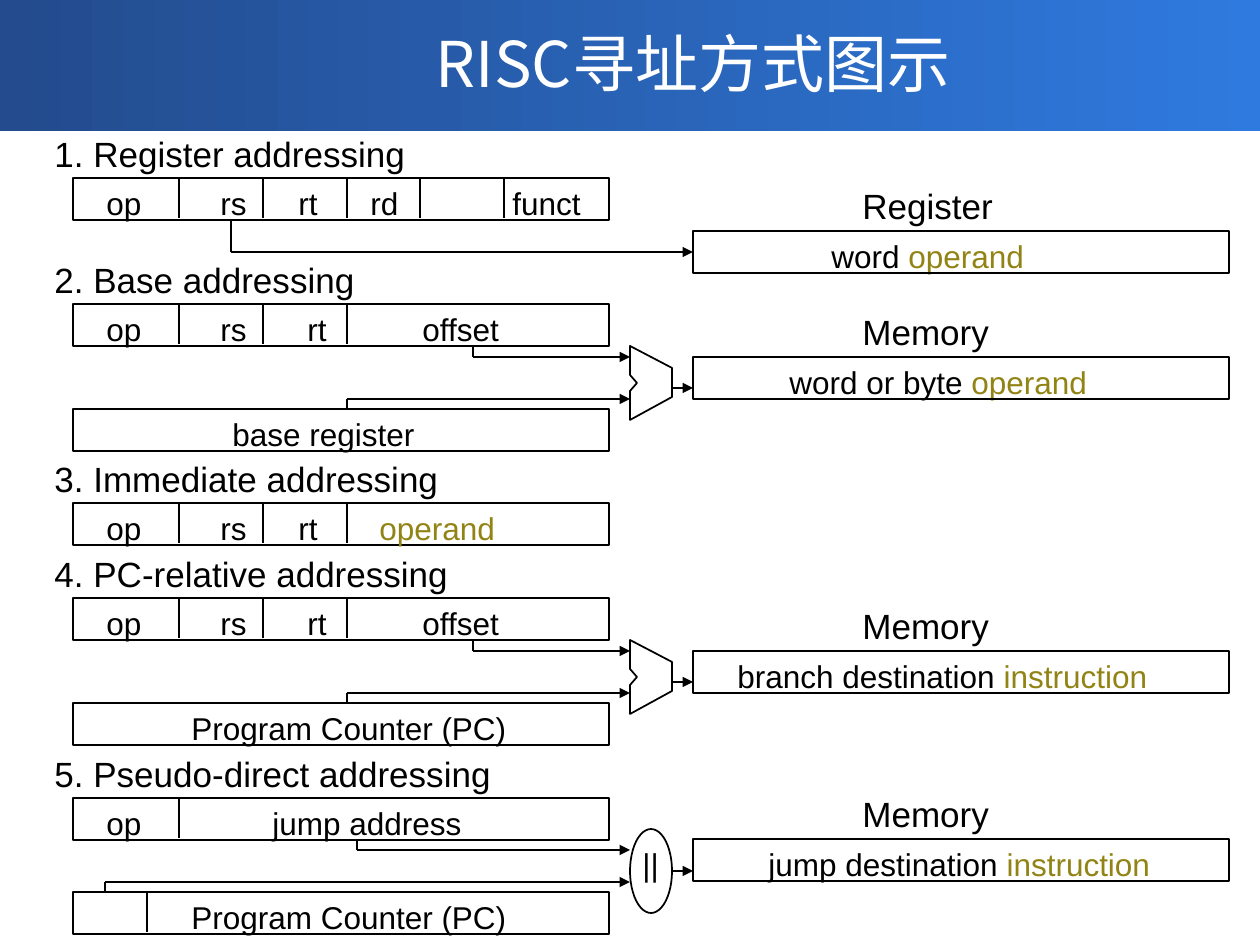
import pptx
import pptx.util
import pptx.dml.color
import pptx.enum.shapes
import pptx.enum.text
import pptx.oxml
import pptx.oxml.ns

COLORS = {"ink": "000000", "accent": "918415", "title": "FFFFFF",
          "bar_left": "234B8D", "bar_right": "2F7ADF"}
SCALE = 914400 / 126  # EMU in one px
SHAPES = pptx.enum.shapes.MSO_SHAPE
ALIGN = pptx.enum.text.PP_ALIGN

HEADING = {"size": pptx.util.Pt(20), "name": "Arial"}
LABEL = {"size": pptx.util.Pt(18), "name": "Arial"}
TITLE = {"size": pptx.util.Pt(36), "name": "Noto Sans CJK SC"}

LEFT, RIGHT, WIDE, HIGH = 73, 693, 536, 42
UNIT_LEFT, UNIT_RIGHT = 630, 672


def emu(px):
    return pptx.util.Emu(round(px * SCALE))


def rgb(name):
    return pptx.dml.color.RGBColor.from_string(COLORS[name])


class Slide:
    def __init__(self, deck):
        self.page = deck.slides.add_slide(deck.slide_layouts[6])
        self.shapes = self.page.shapes
        self.line_width = pptx.util.Pt(1)

    def outline(self, shape):
        shape.shadow.inherit = False
        shape.fill.background()
        shape.line.color.rgb = rgb("ink")
        shape.line.width = self.line_width
        return shape

    def bar(self, x, y, w, h):
        shape = self.shapes.add_shape(SHAPES.RECTANGLE, *map(emu, (x, y, w, h)))
        shape.shadow.inherit = False
        shape.line.fill.background()
        shape.fill.gradient()
        shape.fill.gradient_angle = 0
        for stop, name in zip(shape.fill.gradient_stops, ("bar_left", "bar_right")):
            stop.color.rgb = rgb(name)

    def box(self, x, y, w=WIDE, h=HIGH, kind=SHAPES.RECTANGLE):
        return self.outline(self.shapes.add_shape(kind, *map(emu, (x, y, w, h))))

    def polygon(self, points):
        builder = self.shapes.build_freeform(*points[0], scale=SCALE)
        builder.add_line_segments(points[1:], close=True)
        return self.outline(builder.convert_to_shape())

    def line(self, x1, y1, x2, y2, arrow=False, target=None):
        line = self.shapes.add_connector(
            pptx.enum.shapes.MSO_CONNECTOR.STRAIGHT, *map(emu, (x1, y1, x2, y2)))
        line.line.color.rgb = rgb("ink")
        line.line.width = self.line_width
        if target is not None:
            line.end_connect(target, 1)
        if arrow:
            line.line._get_or_add_ln().append(pptx.oxml.parse_xml(
                '<a:tailEnd %s type="triangle"/>' % pptx.oxml.ns.nsdecls("a")))
        line._element.spPr.append(pptx.oxml.parse_xml(
            "<a:effectLst %s/>" % pptx.oxml.ns.nsdecls("a")))

    def bend(self, x, y_start, y_turn, x_end, target=None):
        self.line(x, y_start, x, y_turn)
        self.line(x, y_turn, x_end, y_turn, arrow=True, target=target)

    def text(self, x, y, w, h, spans, style, wrap=True, tabs=(), middle=False):
        """Spans are (text, colour) pairs; tabs are px from the text's left edge."""
        box = self.shapes.add_textbox(*map(emu, (x, y, w, h)))
        frame = box.text_frame
        frame.word_wrap = wrap
        para = frame.paragraphs[0]
        if middle:
            frame.vertical_anchor = pptx.enum.text.MSO_ANCHOR.MIDDLE
            para.alignment = ALIGN.CENTER
        for words, color in spans:
            span = para.add_run()
            span.text = words
            for key, value in style.items():
                setattr(span.font, key, value)
            span.font.color.rgb = rgb(color)
            span.font._element.append(pptx.oxml.parse_xml(
                '<a:ea %s typeface="%s"/>' % (pptx.oxml.ns.nsdecls("a"), style["name"])))
        if tabs:
            stops = "".join('<a:tab pos="%d" algn="l"/>' % emu(tab) for tab in tabs)
            para._p.get_or_add_pPr().append(pptx.oxml.parse_xml(
                "<a:tabLst %s>%s</a:tabLst>" % (pptx.oxml.ns.nsdecls("a"), stops)))

    def dividers(self, y, positions):
        for x in positions:
            self.line(x, y, x, y + 40)

    def instruction(self, y, heading, fields, tabs, width, positions):
        """Heading, outlined word and its field names."""
        self.text(42, y - 52, 483, 54, [(heading, "ink")], HEADING)
        self.box(LEFT, y)
        self.dividers(y, positions)
        self.text(94, y, width, 50, fields, LABEL, tabs=tabs)

    def register(self, y, x, width, name):
        self.box(LEFT, y)
        self.text(x, y, width, 50, [(name, "ink")], LABEL, wrap=False)

    def target(self, y, place, x, width, words, accent):
        """Place name over an outlined word; returns the outline."""
        self.text(850, y - 53, 199, 54, [(place, "ink")], HEADING)
        self.text(x, y, width, 50, [(words, "ink"), (accent, "accent")], LABEL, wrap=False)
        return self.box(RIGHT, y)

    def adder(self, y):
        """Adder beside the word at y, with both inputs and the output."""
        corners = [(UNIT_LEFT, 42), (UNIT_RIGHT, 64), (UNIT_RIGHT, 93), (UNIT_LEFT, 116),
                   (UNIT_LEFT, 87), (637, 79), (UNIT_LEFT, 71)]
        self.polygon([(x, y + down) for x, down in corners])
        self.bend(473, y + 42, y + 53, UNIT_LEFT)
        self.bend(347, y + 105, y + 95, UNIT_LEFT)
        self.line(UNIT_RIGHT, y + 84, RIGHT, y + 84, arrow=True)


def main():
    deck = pptx.Presentation()
    deck.slide_width, deck.slide_height = emu(1260), emu(945)
    slide = Slide(deck)
    columns = [179, 263, 347]

    # Title bar
    slide.bar(0, -4, 1260, 135)
    slide.text(126, 0, 1134, 125, [("RISC寻址方式图示", "title")], TITLE, middle=True)

    # 1. Register
    slide.instruction(178, "1. Register addressing", [("op\trs\trt\trd\tfunct", "ink")],
                      [114, 192, 264, 406], 506, columns + [420, 504])
    word = slide.target(231, "Register", 819, 218, "word ", "operand")
    slide.bend(231, 220, 252, RIGHT, target=word)

    # 2. Base and 4. PC-relative
    for y, heading, name, name_x, name_w, target in (
            (304, "2. Base addressing", "base register", 220, 208,
             (777, 323, "word or byte ", "operand")),
            (598, "4. PC-relative addressing", "Program Counter (PC)", 179, 340,
             (725, 435, "branch destination ", "instruction"))):
        slide.instruction(y, heading, [("op\trs\trt\toffset", "ink")],
                          [114, 201, 316], 426, columns)
        slide.register(y + 105, name_x, name_w, name)
        slide.adder(y)
        slide.target(y + 53, "Memory", *target)

    # 3. Immediate
    slide.instruction(503, "3. Immediate addressing",
                      [("op\trs\trt\t", "ink"), ("operand", "accent")],
                      [114, 192, 273], 420, columns)

    # 5. Pseudo-direct
    slide.instruction(798, "5. Pseudo-direct addressing", [("op\tjump address", "ink")],
                      [166], 386, columns[:1])
    slide.register(892, 179, 340, "Program Counter (PC)")
    slide.dividers(892, [147])
    slide.bend(357, 840, 850, UNIT_LEFT)
    slide.bend(105, 892, 882, UNIT_LEFT)
    slide.box(UNIT_LEFT, 829, 42, 84, SHAPES.OVAL)
    slide.text(UNIT_LEFT, 839, 42, 50, [("||", "ink")], LABEL, wrap=False)
    slide.line(UNIT_RIGHT, 871, RIGHT, 871, arrow=True)
    slide.target(839, "Memory", 756, 407, "jump destination ", "instruction")

    deck.save("out.pptx")


if __name__ == "__main__":
    main()
